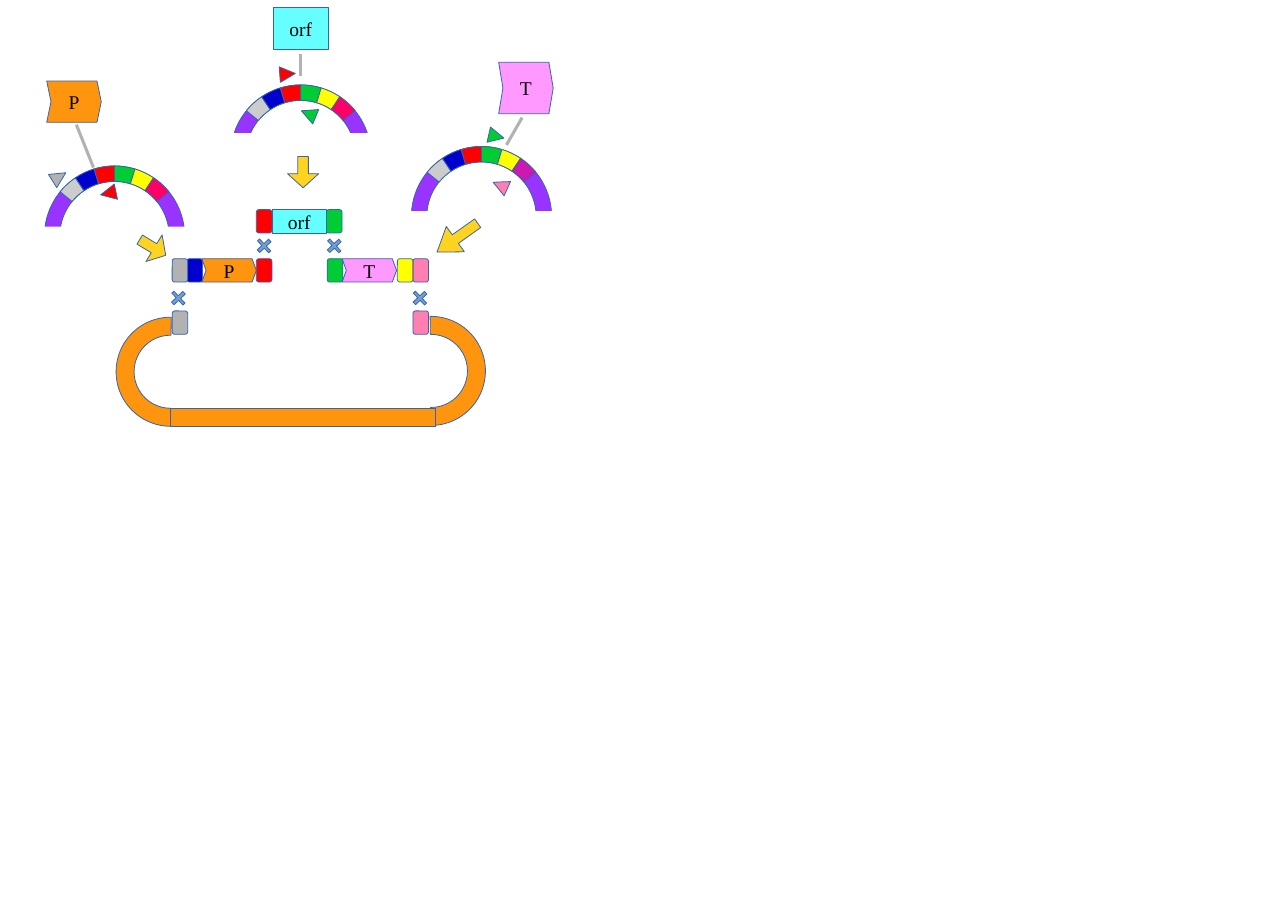
from lxml import etree
from pptx import Presentation
from pptx import util as u
from pptx.dml.color import RGBColor
from pptx.enum import shapes, text
from pptx.oxml.ns import qn

SHAPE = shapes.MSO_SHAPE
OUTLINE = "3465AF"
ORANGE, CYAN, VIOLET, PURPLE = "FF950E", "66FFFF", "FF99FF", "9933FF"
RED, GREEN, BLUE, YELLOW = "FF0000", "00CC33", "0000CC", "FFFF00"
PINK, GREY, SILVER, GOLD = "FF0066", "B2B2B2", "CCCCCC", "FFD320"
RING = 1.8
SEGMENT_STEP = 16.93
TAB_WIDTH, STRIP_HEIGHT, GENE_WIDTH = 0.2, 0.3, 0.7


def color(value):
    return RGBColor.from_string(value)


def format_shape(shape, fill, opacity=100, line=OUTLINE):
    shape.shadow.inherit = False
    shape.fill.solid()
    shape.fill.fore_color.rgb = color(fill)
    if opacity < 100:
        fill_color = shape.fill._xPr.find(qn("a:solidFill"))[0]
        etree.SubElement(fill_color, qn("a:alpha"), val=str(opacity * 1000))
    if line:
        shape.line.color.rgb = color(line)
        shape.line.width = u.Pt(0)
    else:
        shape.line.fill.background()


def add_preset(slide, kind, box, fill, rotation=0, adjustments=(), **style):
    shape = slide.shapes.add_shape(kind, *map(u.Inches, box))
    shape.rotation = rotation
    for index, value in enumerate(adjustments):
        shape.adjustments[index] = value
    format_shape(shape, fill, **style)
    return shape


def write_text(shape, words, size=18, font="Times New Roman", fill="000000"):
    frame = shape.text_frame
    frame.word_wrap = False
    frame.vertical_anchor = text.MSO_ANCHOR.MIDDLE
    paragraph = frame.paragraphs[0]
    paragraph.alignment = text.PP_ALIGN.CENTER
    run = paragraph.add_run()
    run.text = words
    run.font.size = u.Pt(size)
    run.font.name = font
    run.font.color.rgb = color(fill)


def add_gene(slide, words, box, fill, depth=0.055):
    """Labelled box with a notch on the left and a tip on the right."""
    if depth:
        left, top, width, height = box
        right, middle, bottom = left + width, top + height / 2, top + height
        outline = [(right - depth, top), (right, middle), (right - depth, bottom),
                   (left, bottom), (left + depth, middle)]
        builder = slide.shapes.build_freeform(u.Inches(left), u.Inches(top))
        builder.add_line_segments([(u.Inches(x), u.Inches(y)) for x, y in outline])
        shape = builder.convert_to_shape()
        format_shape(shape, fill)
    else:
        shape = add_preset(slide, SHAPE.RECTANGLE, box, fill)
    write_text(shape, words)


def add_tab(slide, left, top, fill, opacity=100):
    add_preset(slide, SHAPE.ROUNDED_RECTANGLE, (left, top, TAB_WIDTH, STRIP_HEIGHT),
               fill, opacity=opacity)


def add_ring(slide, left, top, mask, last_opacity=100):
    """Upper part of a plasmid ring with six coloured segments."""
    box = (left, top, RING, RING)
    add_preset(slide, SHAPE.DONUT, box, PURPLE, adjustments=[0.11])
    add_preset(slide, SHAPE.RECTANGLE, (*mask, 2.7, 1.2), "FFFFFF", line=None)
    for index, fill in enumerate([SILVER, BLUE, RED, GREEN, YELLOW, PINK]):
        add_preset(slide, SHAPE.BLOCK_ARC, box, fill,
                   rotation=(index - 2.5) * SEGMENT_STEP,
                   adjustments=[156.93, 167.07, 0.11],
                   opacity=last_opacity if fill == PINK else 100)


def add_primer(slide, left, top, rotation, fill, opacity=100):
    add_preset(slide, SHAPE.ISOSCELES_TRIANGLE, (left, top, 0.2, 0.2), fill,
               rotation, opacity=opacity)


def add_link(slide, start, end):
    connector = slide.shapes.add_connector(
        shapes.MSO_CONNECTOR.STRAIGHT, *map(u.Inches, (*start, *end)))
    connector.line.color.rgb = color(GREY)
    connector.line.width = u.Pt(2.83)
    etree.SubElement(connector._element.spPr, qn("a:effectLst"))


def add_sources(slide):
    add_gene(slide, "P", (0.6, 1.04, GENE_WIDTH, 0.53), ORANGE)
    add_gene(slide, "T", (6.4, 0.8, GENE_WIDTH, 0.66), VIOLET)
    add_gene(slide, "orf", (3.51, 0.09, GENE_WIDTH, 0.55), CYAN, depth=0)

    add_ring(slide, 5.28, 1.88, mask=(4.69, 2.71), last_opacity=50)
    add_ring(slide, 0.57, 2.13, mask=(0.19, 2.91))
    add_ring(slide, 2.96, 1.09, mask=(2.49, 1.71))

    add_link(slide, (6.7, 1.51), (6.5, 1.86))
    add_link(slide, (0.98, 1.6), (1.2, 2.15))
    add_link(slide, (3.86, 0.69), (3.86, 0.97))

    add_primer(slide, 6.27, 1.65, 102.8, GREEN)
    add_primer(slide, 6.32, 2.28, 294.3, PINK, opacity=50)
    add_primer(slide, 0.66, 2.17, 57.8, GREY)
    add_primer(slide, 1.29, 2.38, 258.1, RED)
    add_primer(slide, 3.59, 0.85, 85.7, RED)
    add_primer(slide, 3.86, 1.36, 292.6, GREEN)


def add_fragments(slide):
    orf_top, strip_top, backbone_top = 2.69, 3.32, 3.99
    for words, left, top, fill, depth in [("P", 2.59, strip_top, ORANGE, 0.055),
                                          ("T", 4.39, strip_top, VIOLET, 0.055),
                                          ("orf", 3.49, orf_top, CYAN, 0)]:
        add_gene(slide, words, (left, top, GENE_WIDTH, STRIP_HEIGHT), fill, depth)
    for left, top, fill in [(3.29, strip_top, RED), (2.4, strip_top, BLUE),
                            (5.1, strip_top, YELLOW), (4.2, strip_top, GREEN),
                            (4.19, orf_top, GREEN), (3.29, orf_top, RED)]:
        add_tab(slide, left, top, fill)
    for top in (strip_top, backbone_top):
        add_tab(slide, 2.21, top, GREY)
        add_tab(slide, 5.3, top, PINK, opacity=50)
    for left, top in [(3.29, 3.05), (4.19, 3.05), (2.19, 3.72), (5.29, 3.72)]:
        add_preset(slide, SHAPE.CROSS, (left, top, 0.2, 0.21), "729FCF", 316.8, [0.41])


def add_backbone(slide):
    for left, top, rotation in [(1.49, 4.07, 269.9), (4.83, 4.06, 89.9)]:
        add_preset(slide, SHAPE.BLOCK_ARC, (left, top, 1.4, 1.4), ORANGE, rotation,
                   [107.55, 0.45, 0.165])
    add_preset(slide, SHAPE.RECTANGLE, (2.19, 5.24, 3.4, 0.23), ORANGE)


def add_arrows(slide):
    for box, rotation, head in [((3.69, 2.01, 0.4, 0.4), 0, 0.45),
                                ((1.76, 2.98, 0.4, 0.39), 301.2, 0.45),
                                ((5.67, 2.73, 0.4, 0.64), 54.6, 0.72)]:
        add_preset(slide, SHAPE.DOWN_ARROW, box, GOLD, rotation, [0.34, head],
                   line="3465A4")


def main():
    presentation = Presentation()
    presentation.slide_width = u.Inches(16.53)
    presentation.slide_height = u.Inches(11.69)
    slide = presentation.slides.add_slide(presentation.slide_layouts[6])
    add_sources(slide)
    add_fragments(slide)
    add_backbone(slide)
    add_arrows(slide)
    presentation.save("out.pptx")


if __name__ == "__main__":
    main()
